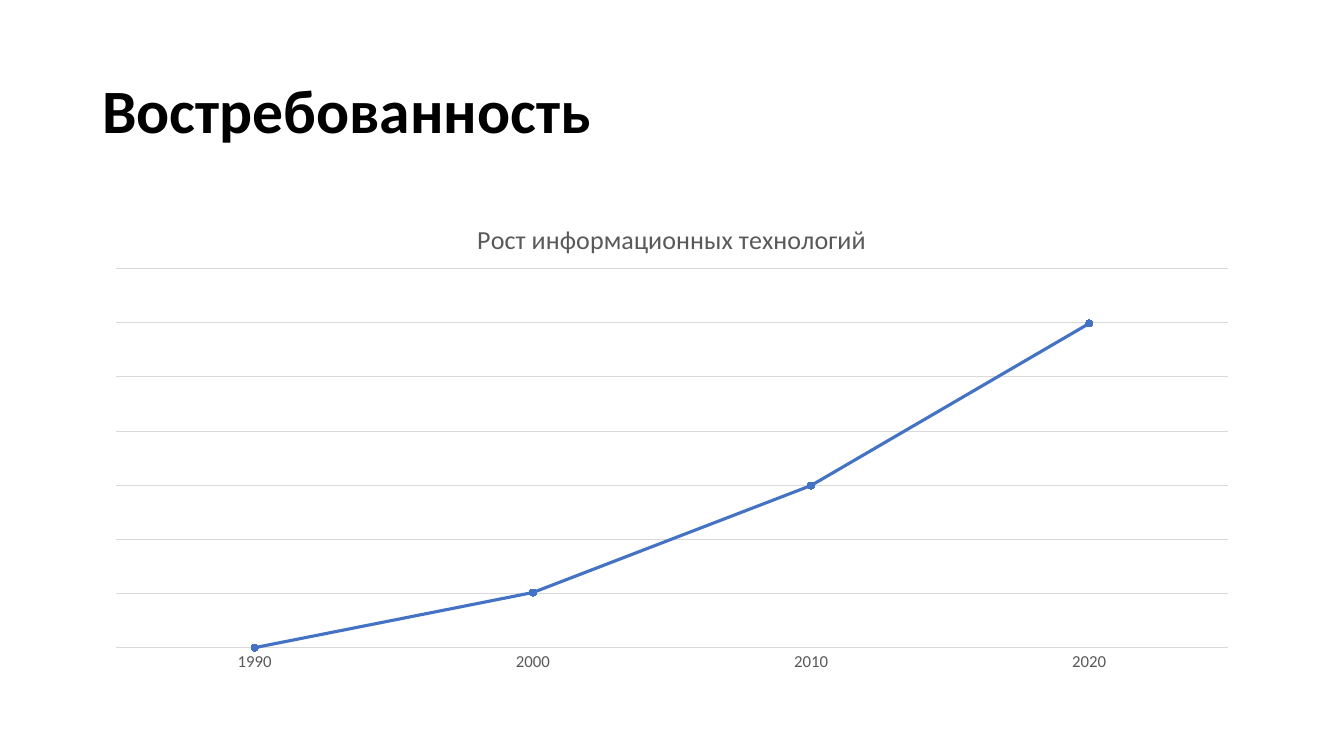
"""Build a slide with a line chart of the growth of information technology."""
import pptx
import pptx.chart.data
import pptx.dml.color
import pptx.enum.chart
import pptx.enum.text
import pptx.oxml
import pptx.oxml.ns
import pptx.util

Pt = pptx.util.Pt
FONT = "Calibri"
COLORS = {"black": "000000", "gray": "595959", "grid": "D9D9D9", "blue": "4472C4"}
LEFT, WIDTH = 66, 828
YEARS = ["1990", "2000", "2010", "2020"]
VALUES = [0, 17, 50, 100]
STEP = 16.7
PLOT = {"x": 0.02, "y": 0.14, "w": 0.96, "h": 0.79}


def color(name):
    return pptx.dml.color.RGBColor.from_string(COLORS[name])


def style(font, size, name, bold=False):
    font.name = FONT
    font.size = Pt(size)
    font.bold = bold
    font.color.rgb = color(name)


def stroke(line, name, width):
    line.color.rgb = color(name)
    line.width = Pt(width)


def add_title(slide, text):
    box = slide.shapes.add_textbox(Pt(LEFT), Pt(28.75), Pt(WIDTH), Pt(104.4))
    frame = box.text_frame
    frame.word_wrap = True
    frame.vertical_anchor = pptx.enum.text.MSO_ANCHOR.MIDDLE
    frame.text = text
    line = frame.paragraphs[0]
    line.line_spacing = 0.9
    style(line.runs[0].font, 44, "black", True)


def set_plot(chart):
    area = chart.element.find(".//" + pptx.oxml.ns.qn("c:plotArea"))
    old = area.find(pptx.oxml.ns.qn("c:layout"))
    if old is not None:
        area.remove(old)
    modes = "".join(f'<c:{key}Mode val="edge"/>' for key in "xy")
    sizes = "".join(f'<c:{key} val="{part}"/>' for key, part in PLOT.items())
    area.insert(0, pptx.oxml.parse_xml(
        f'<c:layout {pptx.oxml.ns.nsdecls("c")}><c:manualLayout>'
        f'<c:layoutTarget val="inner"/>{modes}{sizes}'
        '</c:manualLayout></c:layout>'))


def set_axes(chart):
    none = pptx.enum.chart.XL_TICK_MARK.NONE
    years = chart.category_axis
    years.major_tick_mark = none
    years.minor_tick_mark = none
    style(years.tick_labels.font, 12, "gray")
    stroke(years.format.line, "grid", 0.75)
    scale = chart.value_axis
    scale.visible = False
    scale.minimum_scale = 0
    scale.maximum_scale = round(7 * STEP, 1)
    scale.major_unit = STEP
    scale.has_major_gridlines = True
    stroke(scale.major_gridlines.format.line, "grid", 0.75)


def set_curve(chart):
    chart.plots[0].vary_by_categories = False
    curve = chart.plots[0].series[0]
    curve.smooth = False
    stroke(curve.format.line, "blue", 2.25)
    mark = curve.marker
    mark.style = pptx.enum.chart.XL_MARKER_STYLE.CIRCLE
    mark.size = 5
    mark.format.fill.solid()
    mark.format.fill.fore_color.rgb = color("blue")
    stroke(mark.format.line, "blue", 0.75)


def add_chart(slide, text):
    data = pptx.chart.data.CategoryChartData()
    data.categories = YEARS
    data.add_series("Series 1", VALUES)
    chart = slide.shapes.add_chart(
        pptx.enum.chart.XL_CHART_TYPE.LINE_MARKERS,
        Pt(LEFT), Pt(144), Pt(WIDTH), Pt(342.7), data).chart
    style(chart.font, 10, "black")
    chart.has_legend = False
    chart.has_title = True
    frame = chart.chart_title.text_frame
    frame.text = text
    style(frame.paragraphs[0].runs[0].font, 18.6, "gray")
    chart.chart_title.include_in_layout = False
    set_plot(chart)
    set_axes(chart)
    set_curve(chart)


def main():
    deck = pptx.Presentation()
    deck.slide_width, deck.slide_height = Pt(960), Pt(540)
    slide = deck.slides.add_slide(deck.slide_layouts[6])
    add_title(slide, "Востребованность")
    add_chart(slide, "Рост информационных технологий")
    deck.save("out.pptx")


if __name__ == "__main__":
    main()
